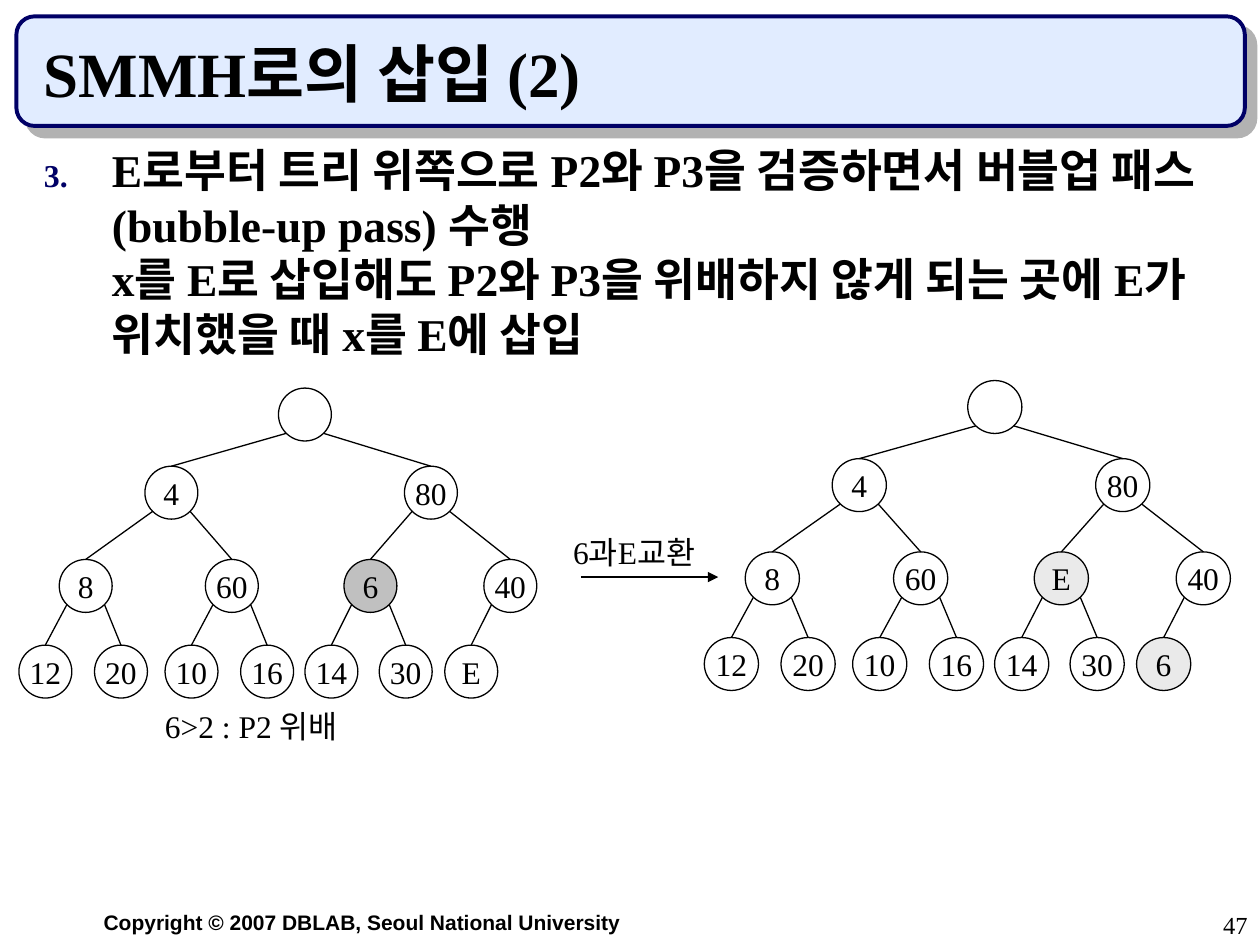
"""Build the slide on insertion into an SMMH, step 3."""
from lxml import etree
from pptx import Presentation
from pptx import util as u
from pptx.dml.color import RGBColor
from pptx.enum import shapes, text
from pptx.oxml.ns import qn

INK, NAVY = "000000", "000066"
LEFT, MID, RIGHT = text.PP_ALIGN.LEFT, text.PP_ALIGN.CENTER, text.PP_ALIGN.RIGHT
TOP, CORE, BASE = text.MSO_ANCHOR.TOP, text.MSO_ANCHOR.MIDDLE, text.MSO_ANCHOR.BOTTOM


def hue(code):
    return RGBColor.from_string(code)


def write(shape, words, size=18, face="Times New Roman", bold=False, align=LEFT, anchor=TOP, wrap=False):
    frame = shape.text_frame
    frame.word_wrap = wrap
    frame.vertical_anchor = anchor
    para = frame.paragraphs[0]
    para.text = words
    para.alignment = align
    for run in para.runs:
        run.font.size = u.Pt(size)
        run.font.name = face
        run.font.bold = bold
        run.font.color.rgb = hue(INK)
    return para


deck = Presentation()
deck.slide_width, deck.slide_height = u.Inches(10), u.Inches(7.5)
slide = deck.slides.add_slide(deck.slide_layouts[6])

banner = slide.shapes.add_shape(
    shapes.MSO_SHAPE.ROUNDED_RECTANGLE, u.Inches(0.13), u.Inches(0.13), u.Inches(9.75), u.Inches(0.87))
banner.shadow.inherit = False
banner.fill.solid()
banner.fill.fore_color.rgb = hue("E1ECFF")
banner.line.color.rgb = hue(NAVY)
banner.line.width = u.Pt(2.25)
effects = banner._element.spPr.find(qn("a:effectLst"))
shade = etree.SubElement(effects, qn("a:outerShdw"), dist=str(u.Pt(8.5)), dir="2700000", algn="ctr", rotWithShape="0")
etree.SubElement(shade, qn("a:srgbClr"), val="B2B2B2")

body = (
    "E로부터 트리 위쪽으로 P2와 P3을 검증하면서 버블업 패스(bubble-up pass) 수행\n"
    "x를 E로 삽입해도 P2와 P3을 위배하지 않게 되는 곳에 E가 위치했을 때 x를 E에 삽입"
)
boxes = [
    (0.25, 7.17, 5.25, 0.3, "Copyright © 2007 DBLAB, Seoul National University",
     dict(size=12, face="Arial", bold=True, align=MID, wrap=True)),
    (0.25, 0.25, 9.42, 0.67, "SMMH로의 삽입 (2)", dict(size=36, bold=True, anchor=BASE, wrap=True)),
    (1.18, 5.56, 1.63, 0.4, "6>2 : P2 위배", dict(align=MID)),
    (4.45, 4.18, 1.5, 0.4, "6과E교환", dict(wrap=True)),
    (7.92, 7.17, 2.08, 0.33, "47", dict(size=14, align=RIGHT, wrap=True)),
    (0.25, 1.08, 9.42, 5.83, body, dict(size=26, bold=True, wrap=True)),
]
for *place, words, style in boxes:
    box = slide.shapes.add_textbox(*map(u.Inches, place))
    para = write(box, words, **style)

props = para._p.get_or_add_pPr()
props.set("marL", str(u.Inches(0.54)))
props.set("indent", str(u.Inches(-0.54)))
tint = etree.SubElement(props, qn("a:buClr"))
etree.SubElement(tint, qn("a:srgbClr"), val=NAVY)
etree.SubElement(props, qn("a:buSzPct"), val="70000")
etree.SubElement(props, qn("a:buAutoNum"), type="arabicPeriod", startAt="3")

rows = [3.08, 3.7, 4.44, 5.12]
spots = [2.21, 1.15, 3.21, 0.47, 1.63, 2.73, 3.84, 0.15, 0.75, 1.31, 1.91, 2.42, 3.01, 3.53]
keys = ["", "4", "80", "8", "60", "6", "40", "12", "20", "10", "16", "14", "30", "E"]
swapped = keys[:5] + ["E"] + keys[6:13] + ["6"]
trees = [
    (0.15, 0, 1, 0.42, keys, {5: "C0C0C0"}),
    (5.59, -0.06, 1.015, 0.43, swapped, {1: "FFFFFF", 5: "EAEAEA", 13: "EAEAEA"}),
]
edges = []
for start, shift, scale, width, names, fills in trees:
    tree = slide.shapes.add_group_shape()
    nodes = []
    for i, (spot, name) in enumerate(zip(spots, names)):
        x = start + (spot - spots[7]) * scale
        y = rows[(i + 1).bit_length() - 1] + shift
        nodes.append((x + width / 2, y))
        node = tree.shapes.add_shape(
            shapes.MSO_SHAPE.OVAL, u.Inches(x), u.Inches(y), u.Inches(width), u.Inches(0.42))
        node.shadow.inherit = False
        node.line.color.rgb = hue(INK)
        node.line.width = u.Pt(0.75)
        if i in fills:
            node.fill.solid()
            node.fill.fore_color.rgb = hue(fills[i])
        else:
            node.fill.background()
        if name:
            write(node, name, align=MID, anchor=CORE)
        if i:
            px, py = nodes[(i - 1) // 2]
            side = 0.15 if i % 2 == 0 else -0.15
            edges.append((tree, px + side, py + 0.36, *nodes[i]))

edges.append((slide, 4.61, 4.58, 5.7, 4.58))
for home, *ends in edges:
    edge = home.shapes.add_connector(shapes.MSO_CONNECTOR.STRAIGHT, *map(u.Inches, ends))
    edge.line.color.rgb = hue(INK)
    edge.line.width = u.Pt(0.75)
    etree.SubElement(edge._element.spPr, qn("a:effectLst"))
etree.SubElement(edge.line._get_or_add_ln(), qn("a:tailEnd"), type="triangle")

deck.save("out.pptx")
